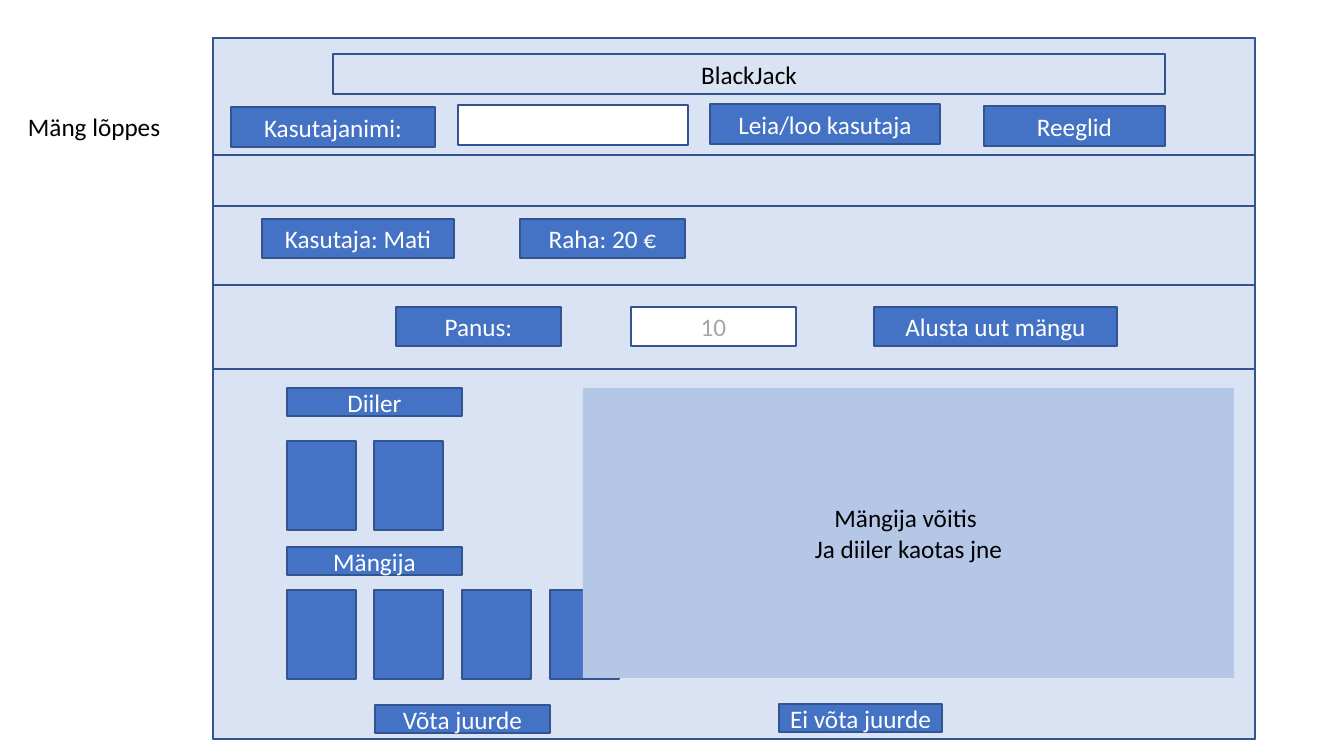
import dataclasses
import typing

import pptx
import pptx.dml.color
import pptx.enum.shapes
import pptx.enum.text
import pptx.util

EMU_PER_PX = 914400 / 100.8
SLIDE_W, SLIDE_H = 1344, 756


@dataclasses.dataclass(frozen=True)
class Theme:
    panel: str = "DAE3F3"
    button: str = "4472C4"
    result: str = "B4C7E7"
    field: str = "FFFFFF"
    outline: str = "325491"
    light: str = "FFFFFF"
    dark: str = "000000"
    hint: str = "A6A6A6"
    font: str = "Calibri"
    size: int = 18
    line_width: int = 1


THEME = Theme()


@dataclasses.dataclass(frozen=True)
class Box:
    left: int
    top: int
    width: int
    height: int
    text: str = ""
    fill: str = THEME.button
    color: str = THEME.light
    outlined: bool = True


def px(n: float) -> pptx.util.Emu:
    return pptx.util.Emu(round(n * EMU_PER_PX))


def rgb(value: str) -> pptx.dml.color.RGBColor:
    return pptx.dml.color.RGBColor.from_string(value)


def apply(target: typing.Any, values: dict[str, typing.Any]) -> None:
    for name, value in values.items():
        setattr(target, name, value)


def write(tf: typing.Any, text: str, color: str,
          align: pptx.enum.text.PP_ALIGN) -> None:
    font = {"name": THEME.font, "size": pptx.util.Pt(THEME.size)}
    for i, line in enumerate(text.split("\n")):
        p = tf.add_paragraph() if i else tf.paragraphs[0]
        p.alignment = align
        r = p.add_run()
        r.text = line
        apply(r.font, font)
        r.font.color.rgb = rgb(color)


def draw_box(shapes: typing.Any, box: Box) -> None:
    sp = shapes.add_shape(
        pptx.enum.shapes.MSO_SHAPE.RECTANGLE,
        px(box.left), px(box.top), px(box.width), px(box.height))
    sp.shadow.inherit = False
    sp.fill.solid()
    sp.fill.fore_color.rgb = rgb(box.fill)
    if box.outlined:
        sp.line.color.rgb = rgb(THEME.outline)
        sp.line.width = pptx.util.Pt(THEME.line_width)
    else:
        sp.line.fill.background()
    if box.text:
        tf = sp.text_frame
        apply(tf, {"word_wrap": True,
                   "vertical_anchor": pptx.enum.text.MSO_ANCHOR.MIDDLE})
        write(tf, box.text, box.color, pptx.enum.text.PP_ALIGN.CENTER)


def draw_label(shapes: typing.Any, box: Box) -> None:
    sp = shapes.add_textbox(
        px(box.left), px(box.top), px(box.width), px(box.height))
    tf = sp.text_frame
    apply(tf, {"word_wrap": True,
               "auto_size": pptx.enum.text.MSO_AUTO_SIZE.SHAPE_TO_FIT_TEXT})
    write(tf, box.text, box.color, pptx.enum.text.PP_ALIGN.LEFT)


# Game window and its horizontal bands: (top, height)
BANDS = [(38, 701), (206, 79), (369, 370), (38, 117)]
panels = [Box(213, top, 1042, height, fill=THEME.panel) for top, height in BANDS]

# Cards: (top, count) for the dealer and the player
CARD_LEFT, CARD_STEP, CARD_W, CARD_H = 287, 87.5, 69, 89
HANDS = [(441, 2), (590, 4)]
cards = [Box(round(CARD_LEFT + i * CARD_STEP), top, CARD_W, CARD_H)
         for top, count in HANDS for i in range(count)]

header = [
    Box(333, 54, 832, 40, "BlackJack", THEME.panel, THEME.dark),
    Box(231, 107, 204, 40, "Kasutajanimi:"),
    Box(458, 105, 230, 40, fill=THEME.field),
    Box(710, 104, 230, 40, "Leia/loo kasutaja"),
    Box(984, 106, 181, 40, "Reeglid"),
]

player_and_bet = [
    Box(262, 219, 192, 39, "Kasutaja: Mati"),
    Box(520, 219, 165, 39, "Raha: 20 €"),
    Box(396, 307, 165, 39, "Panus:"),
    Box(631, 307, 165, 39, "10", THEME.field, THEME.hint),
    Box(874, 307, 243, 39, "Alusta uut mängu"),
]

table = [
    Box(287, 388, 175, 28, "Diiler"),
    Box(287, 547, 175, 28, "Mängija"),
    Box(375, 705, 175, 28, "Võta juurde"),
    Box(779, 704, 163, 28, "Ei võta juurde"),
]

result = Box(583, 388, 651, 290, "Mängija võitis \nJa diiler kaotas jne",
             THEME.result, THEME.dark, outlined=False)
caption = Box(18, 106, 169, 40, "Mäng lõppes", color=THEME.dark)

# Build the slide, with the result covering the last card
prs = pptx.Presentation()
apply(prs, {"slide_width": px(SLIDE_W), "slide_height": px(SLIDE_H)})
slide = prs.slides.add_slide(prs.slide_layouts[6])
for box in [*panels, *header, *player_and_bet, *table, *cards, result]:
    draw_box(slide.shapes, box)
draw_label(slide.shapes, caption)

prs.save("out.pptx")
